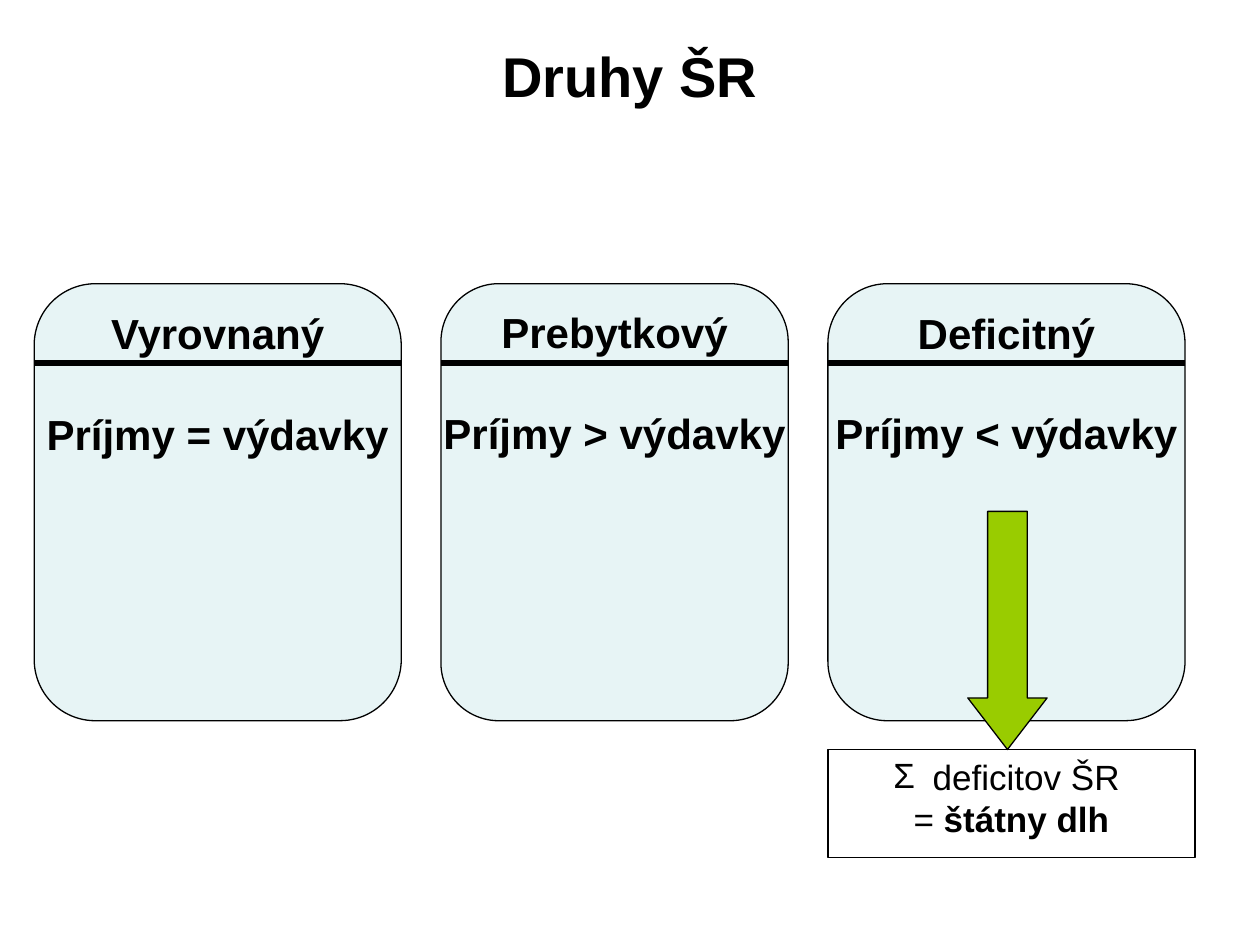
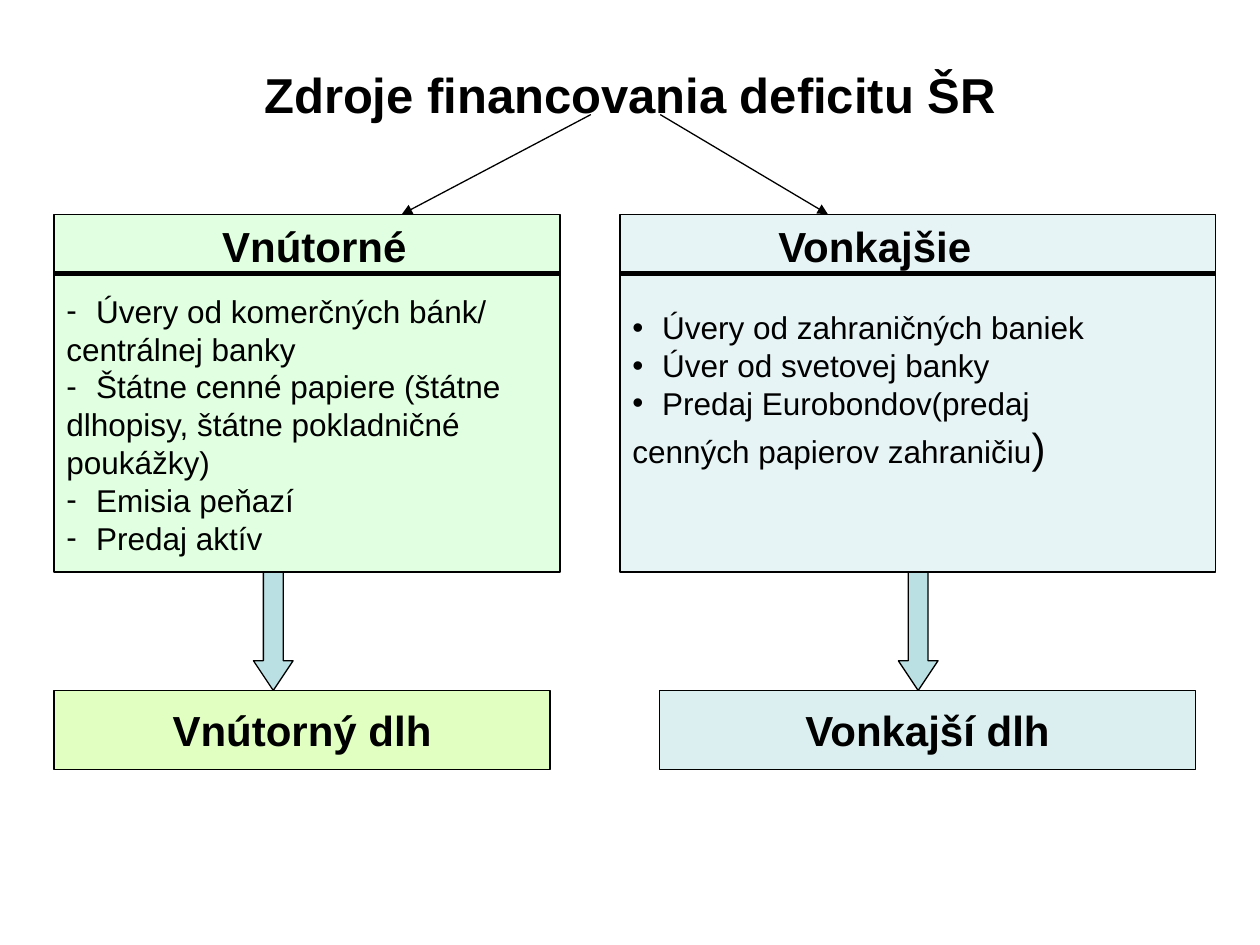
from lxml import etree
from pptx import Presentation
from pptx import util as u
from pptx.dml import color
from pptx.enum import shapes, text
from pptx.oxml import ns

FONT = "Arial"
COLORS = {
    "ink": "000000", "ice": "E7F4F5", "lime": "99CC00", "teal": "BBE0E3",
    "mint": "E1FFE1", "pear": "E0FFC1", "mist": "DCEFF0",
}
CENTER, LEFT = text.PP_ALIGN.CENTER, text.PP_ALIGN.LEFT
TOP, MIDDLE = text.MSO_ANCHOR.TOP, text.MSO_ANCHOR.MIDDLE
BULLET_INDENT = 0.6  # cm


def para(*runs, align=LEFT, before=0, bullet=None, indent=0):
    """Describe a paragraph; each run is (words, size, bold)."""
    return dict(runs=runs, align=align, before=before, bullet=bullet, indent=indent)


class Deck:
    def __init__(self):
        self.prs = Presentation()
        self.prs.slide_width, self.prs.slide_height = u.Cm(25.4), u.Cm(19.05)
        self.slide = None

    @staticmethod
    def rgb(name):
        return color.RGBColor.from_string(COLORS[name])

    def outline(self, line, width=0.75):
        line.color.rgb = self.rgb("ink")
        line.width = u.Pt(width)

    def fill_text(self, frame, paragraphs):
        for i, spec in enumerate(paragraphs):
            p = frame.paragraphs[0] if i == 0 else frame.add_paragraph()
            p.alignment = spec["align"]
            p.space_before = u.Pt(spec["before"])
            props = p._p.get_or_add_pPr()
            if spec["bullet"]:
                props.set("marL", str(u.Cm(BULLET_INDENT)))
                props.set("indent", str(-u.Cm(BULLET_INDENT)))
                etree.SubElement(props, ns.qn("a:buFont")).set("typeface", FONT)
                etree.SubElement(props, ns.qn("a:buChar")).set("char", spec["bullet"])
            elif spec["indent"]:
                props.set("marL", str(u.Cm(spec["indent"])))
            for words, size, bold in spec["runs"]:
                run = p.add_run()
                run.text = words
                run.font.name, run.font.size, run.font.bold = FONT, u.Pt(size), bold
                run.font.color.rgb = self.rgb("ink")

    def new_slide(self, heading, top, height, size):
        self.slide = self.prs.slides.add_slide(self.prs.slide_layouts[5])
        title = self.slide.shapes.title
        title.left, title.top = u.Cm(1.27), u.Cm(top)
        title.width, title.height = u.Cm(22.86), u.Cm(height)
        title.text_frame.vertical_anchor = MIDDLE
        self.fill_text(title.text_frame, [para((heading, size, True), align=CENTER)])

    def shape(self, kind, left, top, width, height, fill=None):
        item = self.slide.shapes.add_shape(
            kind, u.Cm(left), u.Cm(top), u.Cm(width), u.Cm(height))
        item.shadow.inherit = False
        if fill:
            item.fill.solid()
            item.fill.fore_color.rgb = self.rgb(fill)
        else:
            item.fill.background()
        self.outline(item.line)
        return item

    def box(self, left, top, width, height, fill, paragraphs,
            rounded=False, anchor=TOP, wrap=True):
        kind = shapes.MSO_SHAPE.ROUNDED_RECTANGLE if rounded else shapes.MSO_SHAPE.RECTANGLE
        frame = self.shape(kind, left, top, width, height, fill).text_frame
        frame.vertical_anchor, frame.word_wrap = anchor, wrap
        self.fill_text(frame, paragraphs)

    def down_arrow(self, left, top, width, height, fill, head):
        arrow = self.shape(shapes.MSO_SHAPE.DOWN_ARROW, left, top, width, height, fill)
        arrow.adjustments[0], arrow.adjustments[1] = 0.5, head

    def line(self, x1, y1, x2, y2, width=0.75, arrowhead=False):
        link = self.slide.shapes.add_connector(
            shapes.MSO_CONNECTOR.STRAIGHT, u.Cm(x1), u.Cm(y1), u.Cm(x2), u.Cm(y2))
        self.outline(link.line, width)
        props = link._element.spPr
        if arrowhead:
            etree.SubElement(props.find(ns.qn("a:ln")), ns.qn("a:tailEnd")).set("type", "triangle")
        etree.SubElement(props, ns.qn("a:effectLst"))

    def rule(self, left, top, width):
        self.line(left, top, left + width, top, width=3)


def budget_kinds(deck):
    deck.new_slide("Druhy ŠR", 0.13, 2.77, 32)

    # Three kinds of budget
    left, top, gap = 0.69, 5.72, 0.8
    for kind, relation, width in (("Vyrovnaný", "=", 7.4),
                                  ("Prebytkový", ">", 7.0),
                                  ("Deficitný", "<", 7.2)):
        deck.box(left, top, width, 8.81, "ice", [
            para((kind, 24, True), align=CENTER),
            para((f"Príjmy {relation} výdavky", 24, True), align=CENTER, before=28.5),
        ], rounded=True, wrap=False)
        deck.rule(left, top + 1.6, width)
        left += width + gap

    # Deficits add up to the state debt
    deck.down_arrow(19.51, 10.31, 1.6, 4.8, "lime", 0.65)
    deck.box(16.69, 15.11, 7.4, 2.18, None, [
        para((" deficitov ŠR ", 20, False), align=CENTER, bullet="Σ"),
        para(("= ", 20, False), ("štátny dlh", 20, True), align=CENTER),
    ])


def deficit_funding(deck):
    deck.new_slide("Zdroje financovania deficitu ŠR", 0.71, 2.36, 28)

    def item(words, bullet=None, before=0):
        return para((words, 18, False), bullet=bullet, before=before)

    # Resulting debts
    debt_top, arrow_top = 13.92, 11.53
    for debt, left, width, fill, arrow_left in (
            ("Vnútorný dlh", 1.09, 10.0, "pear", 5.11),
            ("Vonkajší dlh", 13.3, 10.8, "mist", 18.11)):
        deck.down_arrow(arrow_left, arrow_top, 0.8, debt_top - arrow_top, "teal", 0.75)
        deck.box(left, debt_top, width, 1.6, fill,
                 [para((debt, 24, True), align=CENTER)], anchor=MIDDLE)

    # Branches from the title
    source_top = 4.32
    for start, end in ((11.91, 8.1), (13.31, 16.69)):
        deck.line(start, 2.31, end, source_top, arrowhead=True)

    # Sources of funding
    internal = [
        item("Úvery od komerčných bánk/", "-", before=12),
        item("centrálnej banky"),
        item("Štátne cenné papiere (štátne", "-"),
        item("dlhopisy, štátne pokladničné"),
        item("poukážky)"),
        item("Emisia peňazí", "-"),
        item("Predaj aktív", "-"),
    ]
    external = [
        item("Úvery od zahraničných baniek", "•", before=21.5),
        item("Úver od svetovej banky", "•"),
        item("Predaj Eurobondov(predaj", "•"),
        para(("cenných papierov zahraničiu", 18, False), (")", 24, False)),
    ]
    for source, indent, left, width, fill, items in (
            ("Vnútorné", 3.14, 1.09, 10.2, "mint", internal),
            ("Vonkajšie", 2.94, 12.5, 12.0, "ice", external)):
        deck.box(left, source_top, width, arrow_top - source_top, fill,
                 [para((source, 24, True), indent=indent)] + items)
        deck.rule(left, source_top + 1.2, width)


def main():
    deck = Deck()
    budget_kinds(deck)
    deficit_funding(deck)
    deck.prs.save("out.pptx")


if __name__ == "__main__":
    main()
